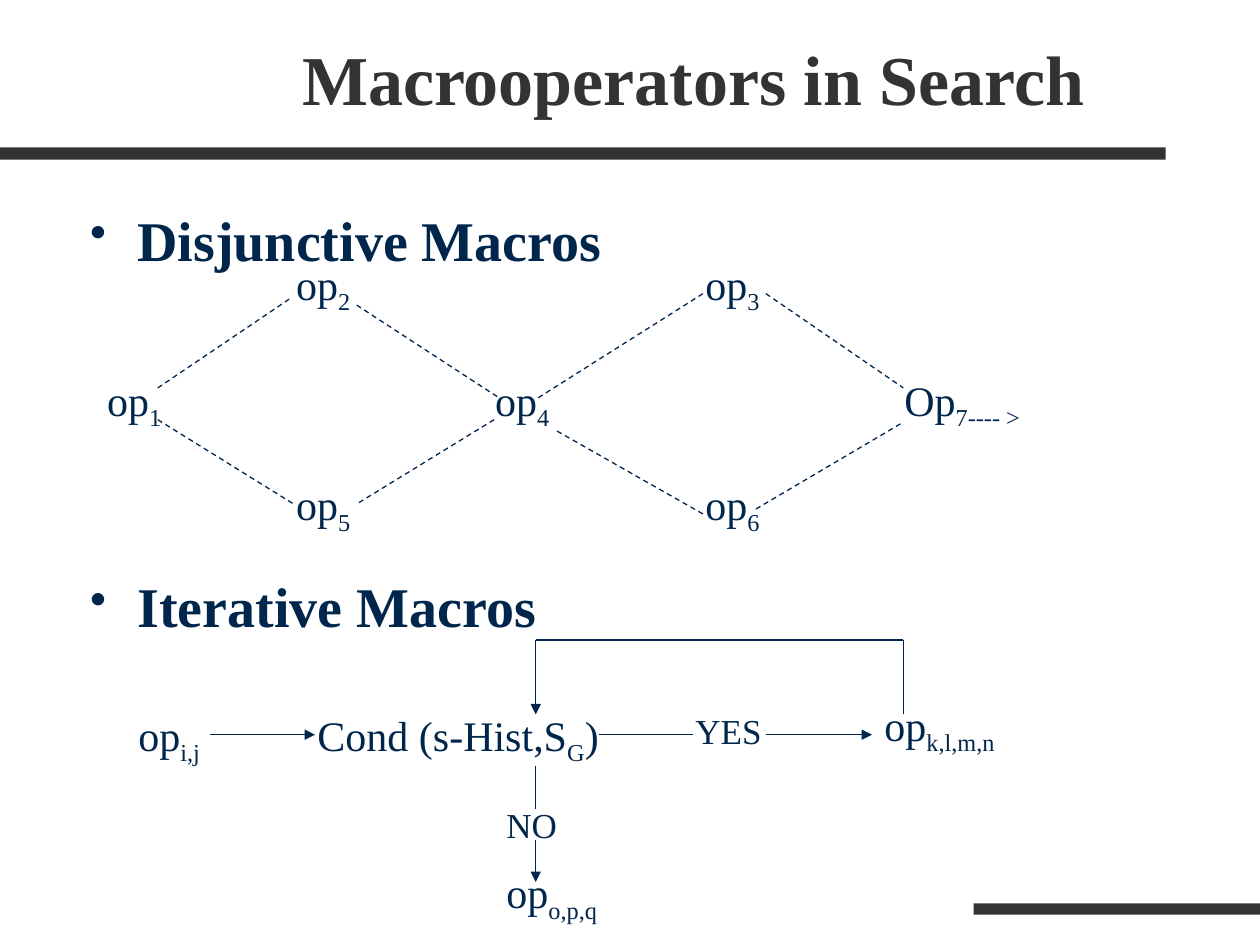
from dataclasses import dataclass

from lxml.etree import SubElement as Sub
from pptx import Presentation
from pptx.dml.color import RGBColor as Rgb
from pptx.enum.dml import MSO_LINE as Dash
from pptx.enum.shapes import MSO_CONNECTOR as Conn, MSO_SHAPE as Shape
from pptx.enum.text import MSO_ANCHOR as Anchor, MSO_AUTO_SIZE as Fit, PP_ALIGN as Align
from pptx.oxml.ns import qn
from pptx.util import Cm, Pt


@dataclass(frozen=True)
class Theme:
    """Colours, font and type sizes of the slide."""
    ink: str = "00264C"
    dark: str = "333333"
    font: str = "Times New Roman"
    title: int = 40
    head: int = 32
    node: int = 24
    tag: int = 20
    line: float = 0.75


THEME = Theme()

HEADS = [("Disjunctive Macros", 0), ("Iterative Macros", 171)]

LEFT, TOP, MID, LOW = 1.91, 5.08, 7.42, 9.53
NODES = [
    ("op", "1", LEFT, MID, 1.91), ("op", "2", 5.72, TOP, 1.91),
    ("op", "5", 5.72, LOW, 1.91), ("op", "4", 9.73, MID, 1.91),
    ("op", "6", 13.97, LOW, 1.91), ("op", "3", 13.97, TOP, 1.91),
    ("Op", "7---- >", 17.98, MID, 3.81),
    ("op", "i,j", 2.54, 14.17, 1.91), ("op", "k,l,m,n", 17.58, 13.97, 3.38),
    ("op", "o,p,q", 9.96, 17.35, 3.38),
]
TAGS = [("NO", 9.96, 16.08, 1.91), ("YES", 13.77, 14.17, 2.34)]

PATHS = [
    (3.18, 7.82, 5.89, 5.99), (3.18, 8.46, 5.92, 10.16),
    (7.19, 6.15, 10.03, 8), (9.96, 8.46, 7.19, 10.16),
    (14.17, 5.92, 10.8, 8.05), (11.23, 8.69, 14.17, 10.36),
    (15.44, 5.92, 18.21, 7.82), (15.24, 10.26, 18.21, 8.51),
]

ROW, STEM, BACK, LOOP = 14.81, 10.8, 18.21, 12.9
FLOWS = [
    (4.24, ROW, 6.35, ROW, True), (12.07, ROW, 13.97, ROW, False),
    (15.44, ROW, 17.58, ROW, True), (BACK, 14.4, BACK, LOOP, False),
    (BACK, LOOP, STEM, LOOP, False), (STEM, LOOP, STEM, 14.4, True),
    (STEM, 15.44, STEM, 16.31, False), (STEM, 16.94, STEM, 17.78, True),
]


def add_run(para, text, size, color=THEME.ink, bold=False, sub=False):
    """Append one styled run, lowered if it is a subscript."""
    run = para.add_run()
    run.text = text
    font = run.font
    font.name, font.size, font.bold = THEME.font, Pt(size), bold
    font.color.rgb = Rgb.from_string(color)
    if sub:
        run._r.get_or_add_rPr().set("baseline", "-25000")


def add_box(slide, x, y, wide, high):
    """Add a wrapping text box and return its frame."""
    frame = slide.shapes.add_textbox(Cm(x), Cm(y), Cm(wide), Cm(high)).text_frame
    frame.word_wrap = True
    return frame


def add_title(slide, text):
    """Place and fill the title placeholder."""
    title = slide.shapes.title
    title.left, title.top = Cm(3.18), Cm(0.64)
    title.width, title.height = Cm(21.59), Cm(1.9)
    frame = title.text_frame
    frame.auto_size = Fit.NONE
    frame.vertical_anchor = Anchor.BOTTOM
    para = frame.paragraphs[0]
    para.alignment = Align.CENTER
    add_run(para, text, THEME.title, THEME.dark, True)


def add_bar(slide, x, y, wide, high):
    """Add a dark rule."""
    bar = slide.shapes.add_shape(Shape.RECTANGLE, Cm(x), Cm(y), Cm(wide), Cm(high))
    bar.shadow.inherit = False
    bar.fill.solid()
    bar.fill.fore_color.rgb = Rgb.from_string(THEME.dark)
    bar.line.fill.background()


def add_list(slide, heads):
    """Add the bulleted headings, spaced to leave room for the diagrams."""
    frame = add_box(slide, 1.57, 4.01, 22.23, 12.9)
    for i, (text, gap) in enumerate(heads):
        para = frame.add_paragraph() if i else frame.paragraphs[0]
        props = para._p.get_or_add_pPr()
        props.set("marL", str(Cm(0.95)))
        props.set("indent", str(Cm(-0.95)))
        Sub(Sub(props, qn("a:buClr")), qn("a:srgbClr"), val=THEME.ink)
        Sub(props, qn("a:buSzPct"), val="85000")
        Sub(props, qn("a:buChar"), char="•")
        para.space_before = Pt(gap)
        add_run(para, text, THEME.head, bold=True)


def add_node(slide, name, sub, x, y, wide, end=""):
    """Add an operator label with its subscript."""
    para = add_box(slide, x, y, wide, 1.42).paragraphs[0]
    add_run(para, name, THEME.node)
    add_run(para, sub, THEME.node, sub=True)
    if end:
        add_run(para, end, THEME.node)


def add_tag(slide, text, x, y, wide):
    """Add a branch label."""
    add_run(add_box(slide, x, y, wide, 1.12).paragraphs[0], text, THEME.tag)


def add_line(slide, x1, y1, x2, y2, head=False, dash=False):
    """Add a thin line, dashed or with an arrowhead on request."""
    link = slide.shapes.add_connector(Conn.STRAIGHT, Cm(x1), Cm(y1), Cm(x2), Cm(y2))
    link.line.color.rgb = Rgb.from_string(THEME.ink)
    link.line.width = Pt(THEME.line)
    if dash:
        link.line.dash_style = Dash.DASH
    if head:
        Sub(link.line._get_or_add_ln(), qn("a:tailEnd"), type="triangle")
    Sub(link._element.spPr, qn("a:effectLst"))


def main():
    """Build the slide and save it."""
    deck = Presentation()
    deck.slide_width, deck.slide_height = Cm(25.4), Cm(19.05)
    slide = deck.slides.add_slide(deck.slide_layouts[5])
    add_bar(slide, 0, 2.97, 23.5, 0.25)
    add_bar(slide, 19.63, 18.21, 5.77, 0.23)
    add_title(slide, "Macrooperators in Search")
    add_list(slide, HEADS)
    for node in NODES:
        add_node(slide, *node)
    add_node(slide, "Cond (s-Hist,S", "G", 6.15, 14.17, 6.55, ")")
    for tag in TAGS:
        add_tag(slide, *tag)
    for path in PATHS:
        add_line(slide, *path, dash=True)
    for flow in FLOWS:
        add_line(slide, *flow)
    deck.save("out.pptx")


if __name__ == "__main__":
    main()
